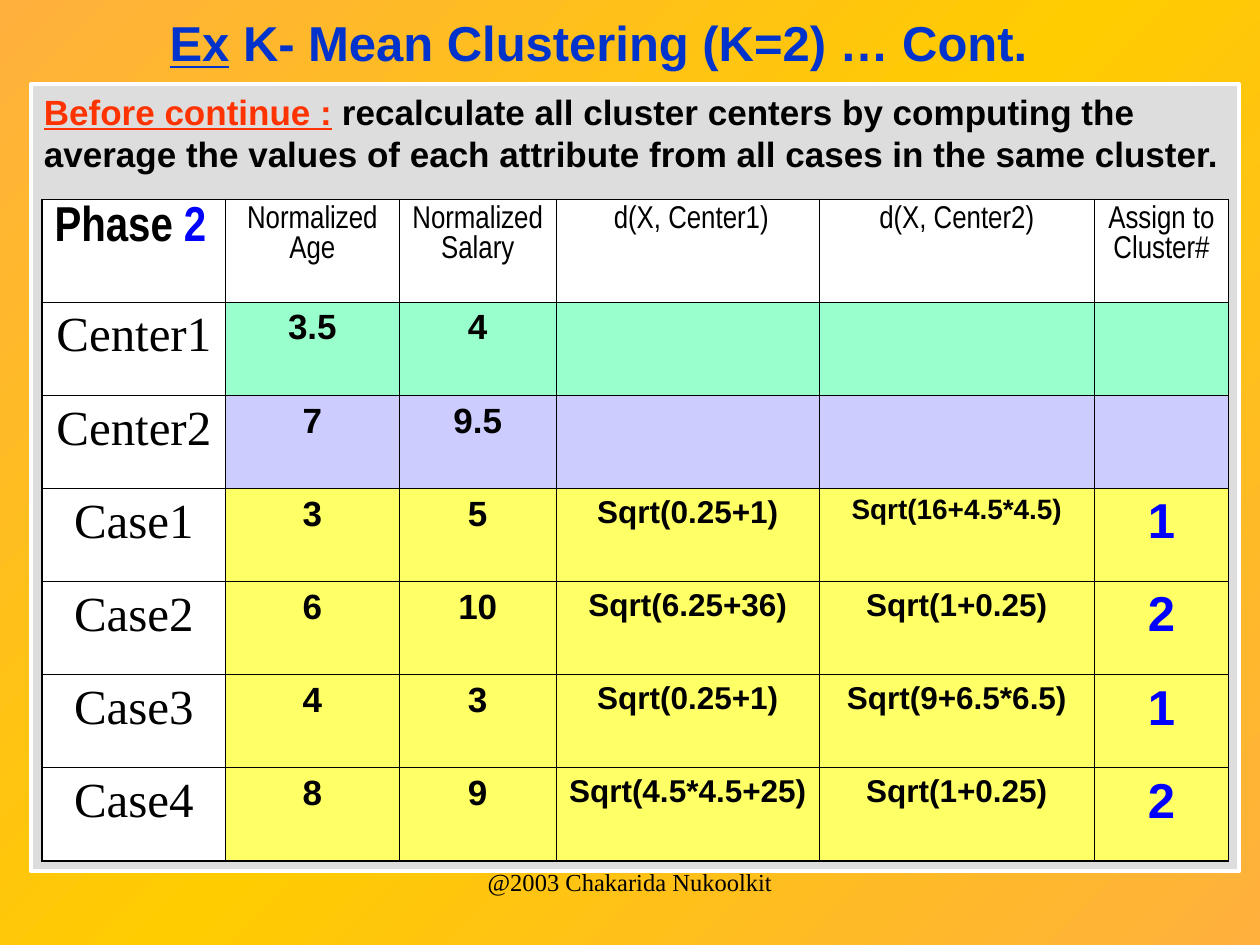
from typing import NamedTuple

from pptx import Presentation
from pptx.dml.color import RGBColor
from pptx.enum.shapes import MSO_SHAPE
from pptx.enum.text import MSO_ANCHOR, MSO_AUTO_SIZE, PP_ALIGN
from pptx.oxml import parse_xml
from pptx.oxml.ns import nsdecls
from pptx.util import Inches, Pt

LEFT, CENTER = PP_ALIGN.LEFT, PP_ALIGN.CENTER
MIDDLE = MSO_ANCHOR.MIDDLE
NO_FIT, GROW = MSO_AUTO_SIZE.NONE, MSO_AUTO_SIZE.SHAPE_TO_FIT_TEXT
RECT = MSO_SHAPE.RECTANGLE

COLORS = {
    "edge": "FFB03D", "gold": "FFCC00", "panel": "DDDDDD", "white": "FFFFFF",
    "black": "000000", "title": "0033CC", "accent": "FF3300", "blue": "0000FF",
    "mint": "99FFCC", "lilac": "CCCCFF", "yellow": "FFFF66",
}
SLIDE_W, SLIDE_H = Inches(10), Inches(7.5)
GRID_COLS, GRID_ROWS = 120, 90
SERIF, SANS, NARROW = "Times New Roman", "Arial", "Arial Narrow"
THIN, THICK = 0.45, 1.08


class Box(NamedTuple):
    col: float
    row: float
    cols: float
    rows: float


class Run(NamedTuple):
    text: str
    size: float
    font: str = SANS
    color: str = "black"
    bold: bool = True
    underline: bool = False


class Record(NamedTuple):
    name: str
    fill: str
    age: str
    salary: str
    d1: str = ""
    d2: str = ""
    cluster: str = ""
    d2_size: float = 18


PANEL = Box(3, 8, 115, 75)
TITLE = Box(8, 0, 98, 8)
INTRO = Box(3, 8, 116, 9.25)
TABLE = Box(4, 19, 113, 63)
FOOTER = Box(41, 82, 38, 6)
COL_WIDTHS = [17.5, 16.5, 15, 25, 26.25, 12.75]
HEADER_HEIGHT = 9.75
HEADERS = ["Normalized Age", "Normalized Salary", " d(X, Center1)",
           "d(X, Center2)", "Assign to Cluster#"]
RECORDS = [
    Record("Center1", "mint", "3.5", "4"),
    Record("Center2", "lilac", "7", "9.5"),
    Record("Case1", "yellow", "3", "5", "Sqrt(0.25+1)", "Sqrt(16+4.5*4.5)", "1", 16),
    Record("Case2", "yellow", "6", "10", "Sqrt(6.25+36)", "Sqrt(1+0.25)", "2"),
    Record("Case3", "yellow", "4", "3", "Sqrt(0.25+1)", "Sqrt(9+6.5*6.5)", "1"),
    Record("Case4", "yellow", "8", "9", "Sqrt(4.5*4.5+25)", "Sqrt(1+0.25)", "2"),
]


def rgb(name: str) -> RGBColor:
    return RGBColor.from_string(COLORS[name])


def gx(cols: float) -> int:
    return round(SLIDE_W * cols / GRID_COLS)


def gy(rows: float) -> int:
    return round(SLIDE_H * rows / GRID_ROWS)


def place(box: Box) -> tuple[int, int, int, int]:
    return gx(box.col), gy(box.row), gx(box.cols), gy(box.rows)


def write(tf, runs: list[Run], align=CENTER) -> None:
    p = tf.paragraphs[0]
    p.alignment = align
    for run in runs:
        r = p.add_run()
        r.text = run.text
        r.font.size = Pt(run.size)
        r.font.name = run.font
        r.font.bold = run.bold
        r.font.underline = run.underline
        r.font.color.rgb = rgb(run.color)


def set_background(s) -> None:
    fill = s.background.fill
    fill.gradient()
    fill.gradient_angle = 315
    stops = fill.gradient_stops
    gs_list = fill._fill._gradFill.gsLst
    for stop in list(gs_list):
        gs_list.remove(stop)
    for pos, name in ((0, "edge"), (50, "gold"), (100, "edge")):
        gs_list.append(parse_xml(
            f'<a:gs {nsdecls("a")} pos="{pos * 1000}">'
            f'<a:srgbClr val="{COLORS[name]}"/></a:gs>'))


def add_panel(s) -> None:
    sp = s.shapes.add_shape(RECT, *place(PANEL))
    sp.shadow.inherit = False
    sp.fill.solid()
    sp.fill.fore_color.rgb = rgb("panel")
    sp.line.color.rgb = rgb("white")
    sp.line.width = Pt(2.25)


def set_title(s, runs: list[Run]) -> None:
    sp = s.shapes.title
    sp.left, sp.top, sp.width, sp.height = place(TITLE)
    tf = sp.text_frame
    tf.auto_size = NO_FIT
    tf.vertical_anchor = MIDDLE
    write(tf, runs)


def add_text(s, box: Box, runs: list[Run], align=CENTER, fit=NO_FIT) -> None:
    tf = s.shapes.add_textbox(*place(box)).text_frame
    tf.word_wrap = True
    tf.auto_size = fit
    write(tf, runs, align)


def set_borders(cell, widths: dict[str, float]) -> None:
    tc_pr = cell._tc.get_or_add_tcPr()
    for i, (side, width) in enumerate(widths.items()):
        tc_pr.insert(i, parse_xml(
            f'<a:ln{side} {nsdecls("a")} w="{Pt(width)}"><a:solidFill>'
            f'<a:srgbClr val="{COLORS["black"]}"/></a:solidFill></a:ln{side}>'))


def table_rows() -> list[list[tuple[str, list[Run]]]]:
    corner = [Run("Phase ", 28, NARROW), Run("2", 28, NARROW, "blue")]
    rows = [[("white", corner)]
            + [("white", [Run(h, 18, NARROW, bold=False)]) for h in HEADERS]]
    for rec in RECORDS:
        values = [Run(rec.age, 20), Run(rec.salary, 20), Run(rec.d1, 18),
                  Run(rec.d2, rec.d2_size), Run(rec.cluster, 28, color="blue")]
        rows.append([("white", [Run(rec.name, 28, SERIF, bold=False)])]
                    + [(rec.fill, [v] if v.text else []) for v in values])
    return rows


def add_distance_table(s) -> None:
    rows = table_rows()
    last_row, last_col = len(rows) - 1, len(COL_WIDTHS) - 1
    table = s.shapes.add_table(len(rows), len(COL_WIDTHS), *place(TABLE)).table
    table.first_row = table.horz_banding = False
    for column, width in zip(table.columns, COL_WIDTHS):
        column.width = gx(width)
    body_height = (TABLE.rows - HEADER_HEIGHT) / last_row
    for i, row in enumerate(rows):
        table.rows[i].height = gy(body_height if i else HEADER_HEIGHT)
        for j, (fill, runs) in enumerate(row):
            cell = table.cell(i, j)
            cell.fill.solid()
            cell.fill.fore_color.rgb = rgb(fill)
            write(cell.text_frame, runs, CENTER if i or j else LEFT)
            set_borders(cell, {
                "L": THICK if j == 0 else THIN,
                "R": THICK if j == last_col else THIN,
                "T": THICK if i == 0 else THIN,
                "B": THICK if i == last_row else THIN,
            })


def main() -> None:
    prs = Presentation()
    prs.slide_width, prs.slide_height = SLIDE_W, SLIDE_H
    s = prs.slides.add_slide(prs.slide_layouts[5])
    set_background(s)
    add_panel(s)
    set_title(s, [Run("Ex", 28, color="title", underline=True),
                  Run(" K- Mean Clustering (K=2) … Cont.", 28, color="title")])
    add_distance_table(s)
    add_text(s, INTRO, [
        Run("Before continue :", 20, color="accent", underline=True),
        Run(" ", 20, color="accent"),
        Run("recalculate all cluster centers by computing the average the values "
            "of each attribute from all cases in the same cluster.", 20),
    ], LEFT, GROW)
    add_text(s, FOOTER, [Run("@2003 Chakarida Nukoolkit", 14, SERIF, bold=False)])
    prs.save("out.pptx")


if __name__ == "__main__":
    main()
